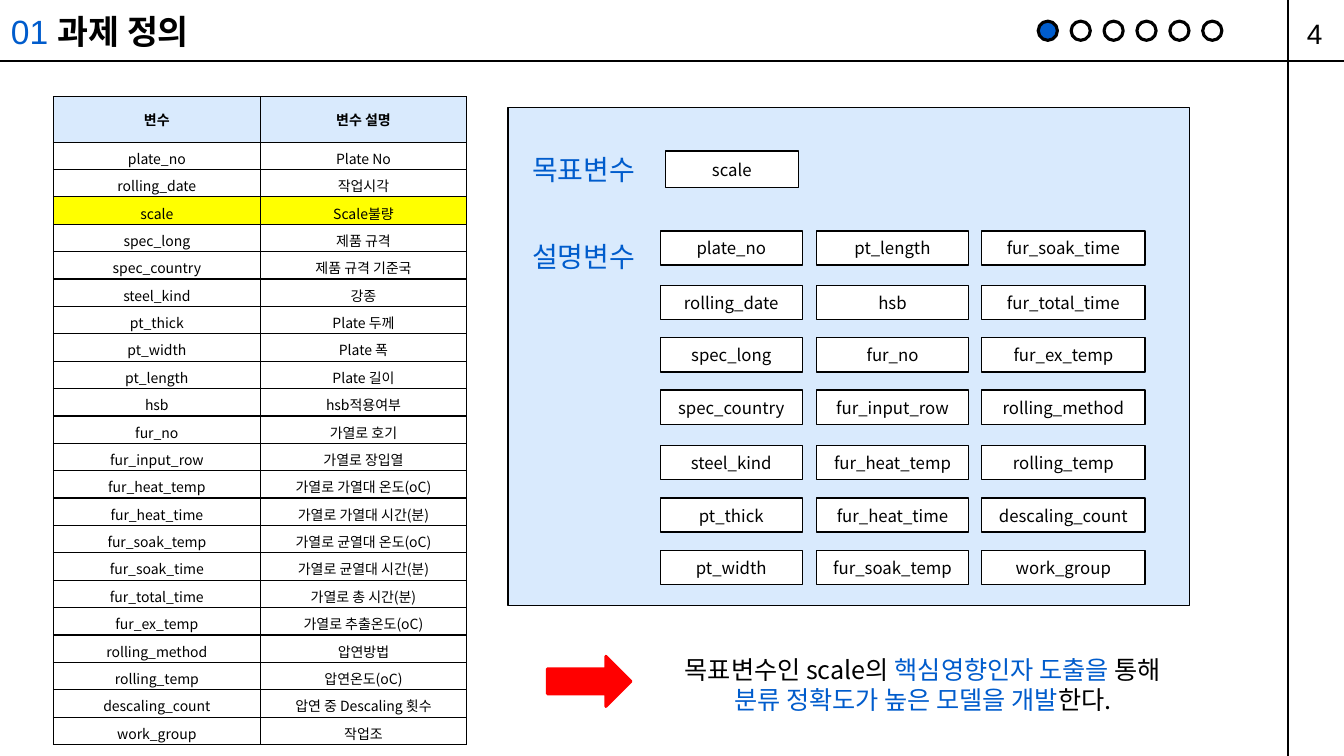
"""Build the task definition slide: variable table, target and explanatory variables, goal."""
from dataclasses import dataclass

from lxml.etree import SubElement
from pptx import Presentation
from pptx.dml.color import RGBColor
from pptx.enum.shapes import MSO_CONNECTOR, MSO_SHAPE
from pptx.enum.text import MSO_ANCHOR, PP_ALIGN
from pptx.oxml.ns import qn
from pptx.util import Pt


@dataclass(frozen=True)
class Theme:
    black: str = "000000"
    white: str = "FFFFFF"
    blue: str = "005CCC"
    pale: str = "D9EAFD"
    yellow: str = "FFFF00"
    red: str = "FF0000"
    latin: str = "Arial"
    korean: str = "Noto Sans CJK KR"
    title: int = 24
    label: int = 20
    goal: int = 18
    chip: int = 12
    cell: int = 10


theme = Theme()


def write(frame, runs, size, face=theme.korean, bold=False, align=PP_ALIGN.LEFT,
          anchor=MSO_ANCHOR.TOP, spacing=None):
    frame.word_wrap = True
    frame.vertical_anchor = anchor
    paragraph = frame.paragraphs[0]
    for name, value in {"alignment": align, "line_spacing": spacing}.items():
        setattr(paragraph, name, value)
    for text, color in runs:
        run = paragraph.add_run()
        run.text = text
        for name, value in {"size": Pt(size), "name": face, "bold": bold}.items():
            setattr(run.font, name, value)
        run.font.color.rgb = RGBColor.from_string(color)
        SubElement(run.font._element, qn("a:ea"), typeface=theme.korean)


def draw(shapes, kind, box, fill, line=theme.black, weight=1):
    shape = shapes.add_shape(kind, *map(Pt, box))
    shape.shadow.inherit = False
    shape.fill.solid()
    shape.fill.fore_color.rgb = RGBColor.from_string(fill)
    shape.line.color.rgb = RGBColor.from_string(line)
    shape.line.width = Pt(weight)
    return shape


deck = Presentation()
deck.slide_width, deck.slide_height = Pt(960), Pt(540)
slide = deck.slides.add_slide(deck.slide_layouts[6])
shapes = slide.shapes

page_number = shapes.add_textbox(Pt(735.8), Pt(9.4), Pt(216), Pt(28.8))
write(page_number.text_frame, [("4", theme.black)], theme.label, theme.latin,
      align=PP_ALIGN.RIGHT, anchor=MSO_ANCHOR.MIDDLE)

for ends in [(0, 43.9, 960, 43.9), (920.2, 0, 920.2, 540)]:
    rule = shapes.add_connector(MSO_CONNECTOR.STRAIGHT, *map(Pt, ends))
    rule.line.color.rgb = RGBColor.from_string(theme.black)
    rule.line.width = Pt(1.5)
    SubElement(rule._element.spPr, qn("a:effectLst"))

heading = shapes.add_textbox(Pt(0.7), Pt(4.3), Pt(462.2), Pt(36))
write(heading.text_frame, [("01 ", theme.blue)], theme.title, theme.latin)
write(heading.text_frame, [("과제 정의", theme.black)], theme.title, theme.latin, bold=True)

progress = shapes.add_group_shape()
for step in range(6):
    draw(progress.shapes, MSO_SHAPE.OVAL, (741.6 + 23.5 * step, 15.1, 13.7, 13.7),
         theme.white if step else theme.blue, weight=2.25)

variables = [
    ("plate_no", "Plate No"),
    ("rolling_date", "작업시각"),
    ("scale", "Scale불량"),
    ("spec_long", "제품 규격"),
    ("spec_country", "제품 규격 기준국"),
    ("steel_kind", "강종"),
    ("pt_thick", "Plate 두께"),
    ("pt_width", "Plate 폭"),
    ("pt_length", "Plate 길이"),
    ("hsb", "hsb적용여부"),
    ("fur_no", "가열로 호기"),
    ("fur_input_row", "가열로 장입열"),
    ("fur_heat_temp", "가열로 가열대 온도(oC)"),
    ("fur_heat_time", "가열로 가열대 시간(분)"),
    ("fur_soak_temp", "가열로 균열대 온도(oC)"),
    ("fur_soak_time", "가열로 균열대 시간(분)"),
    ("fur_total_time", "가열로 총 시간(분)"),
    ("fur_ex_temp", "가열로 추출온도(oC)"),
    ("rolling_method", "압연방법"),
    ("rolling_temp", "압연온도(oC)"),
    ("descaling_count", "압연 중 Descaling 횟수"),
    ("work_group", "작업조"),
]
target = "scale"
entries = [("변수", "변수 설명"), *variables]
header_height, row_height = 32.4, 19.58
glossary = shapes.add_table(len(entries), 2, Pt(38.2), Pt(69.1), Pt(295.2),
                            Pt(header_height + row_height * len(variables))).table
glossary.first_row = glossary.horz_banding = False
for row, entry in enumerate(entries):
    glossary.rows[row].height = Pt(row_height if row else header_height)
    for column, text in enumerate(entry):
        cell = glossary.cell(row, column)
        margins = {"margin_top": 3.6, "margin_bottom": 0.6 if row else 3.6}
        for name, value in margins.items():
            setattr(cell, name, Pt(value))
        properties = cell._tc.get_or_add_tcPr()
        for side in ("lnL", "lnR", "lnT", "lnB"):
            border = SubElement(properties, qn(f"a:{side}"), w=str(Pt(1)))
            ink = SubElement(border, qn("a:solidFill"))
            SubElement(ink, qn("a:srgbClr"), val=theme.black)
        shade = theme.pale if row == 0 else theme.yellow if entry[0] == target else theme.white
        cell.fill.solid()
        cell.fill.fore_color.rgb = RGBColor.from_string(shade)
        write(cell.text_frame, [(text, theme.black)], theme.cell, bold=row == 0,
              align=PP_ALIGN.CENTER, spacing=1.03)
        cell.vertical_anchor = MSO_ANCHOR.MIDDLE

draw(shapes, MSO_SHAPE.RECTANGLE, (362.9, 77, 486.7, 355.7), theme.pale)
for caption, top in [("목표변수", 105.1), ("설명변수", 167.8)]:
    label = shapes.add_textbox(Pt(373), Pt(top), Pt(94.3), Pt(31.7))
    write(label.text_frame, [(caption, theme.blue)], theme.label)

chip_columns = [(471.6, 101.5), (583.2, 108.7), (701.3, 116.6)]
chip_tops = [164.9, 203.8, 241.2, 278.6, 318.2, 355.7, 393.1]
chip_boxes = [(left, top, width, 24.5) for left, width in chip_columns for top in chip_tops]
explanatory = [name for name, _ in variables if name != target]
chips = [(target, (475.2, 108, 95, 25.9)), *zip(explanatory, chip_boxes)]
for variable, box in chips:
    chip = draw(shapes, MSO_SHAPE.RECTANGLE, box, theme.white)
    write(chip.text_frame, [(variable, theme.black)], theme.chip, align=PP_ALIGN.CENTER,
          anchor=MSO_ANCHOR.MIDDLE, spacing=1.03)

draw(shapes, MSO_SHAPE.RIGHT_ARROW, (391, 468.7, 59.8, 36), theme.red, theme.red, 2)
goal = shapes.add_textbox(Pt(468), Pt(463.7), Pt(382.3), Pt(51.1))
goal_runs = [
    ("목표변수인 scale의 ", theme.black),
    ("핵심영향인자 도출을 ", theme.blue),
    ("통해 ", theme.black),
    ("분류 정확도가 높은 모델을 개발", theme.blue),
    ("한다.", theme.black),
]
write(goal.text_frame, goal_runs, theme.goal, align=PP_ALIGN.CENTER)

deck.save("out.pptx")
